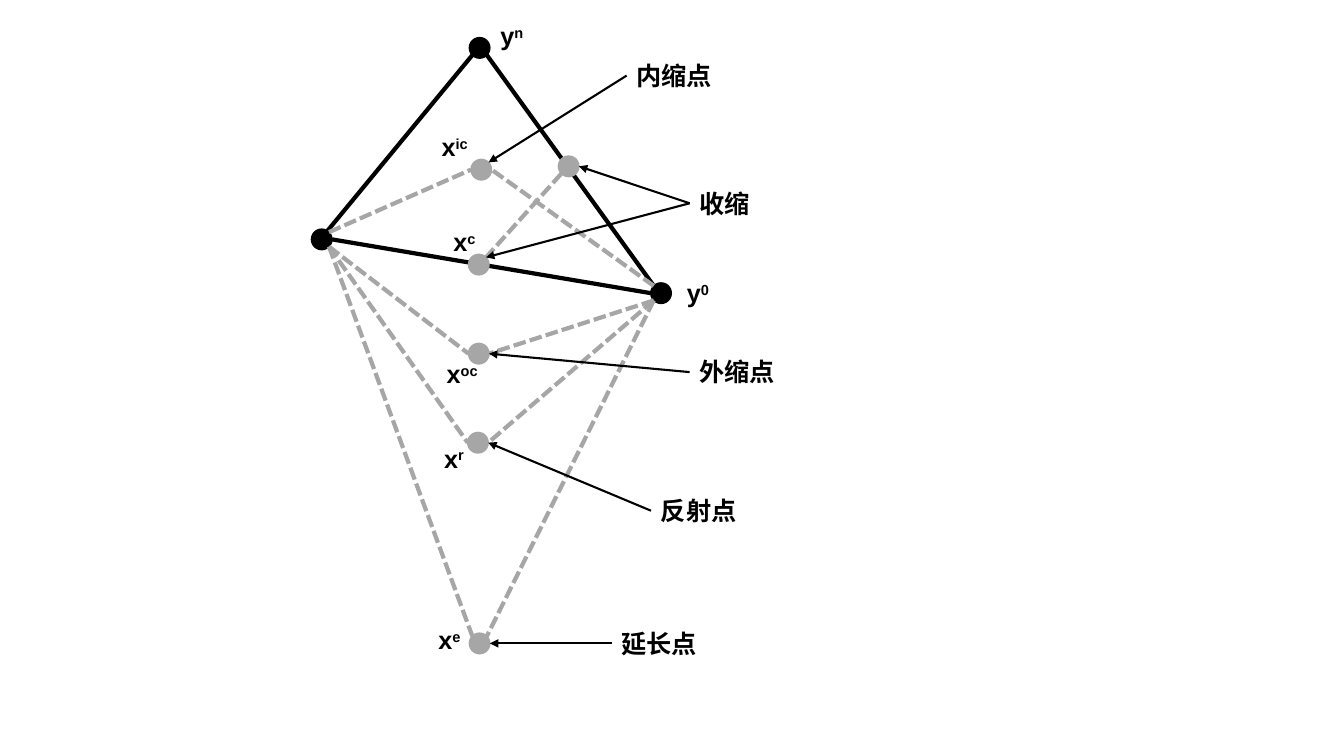
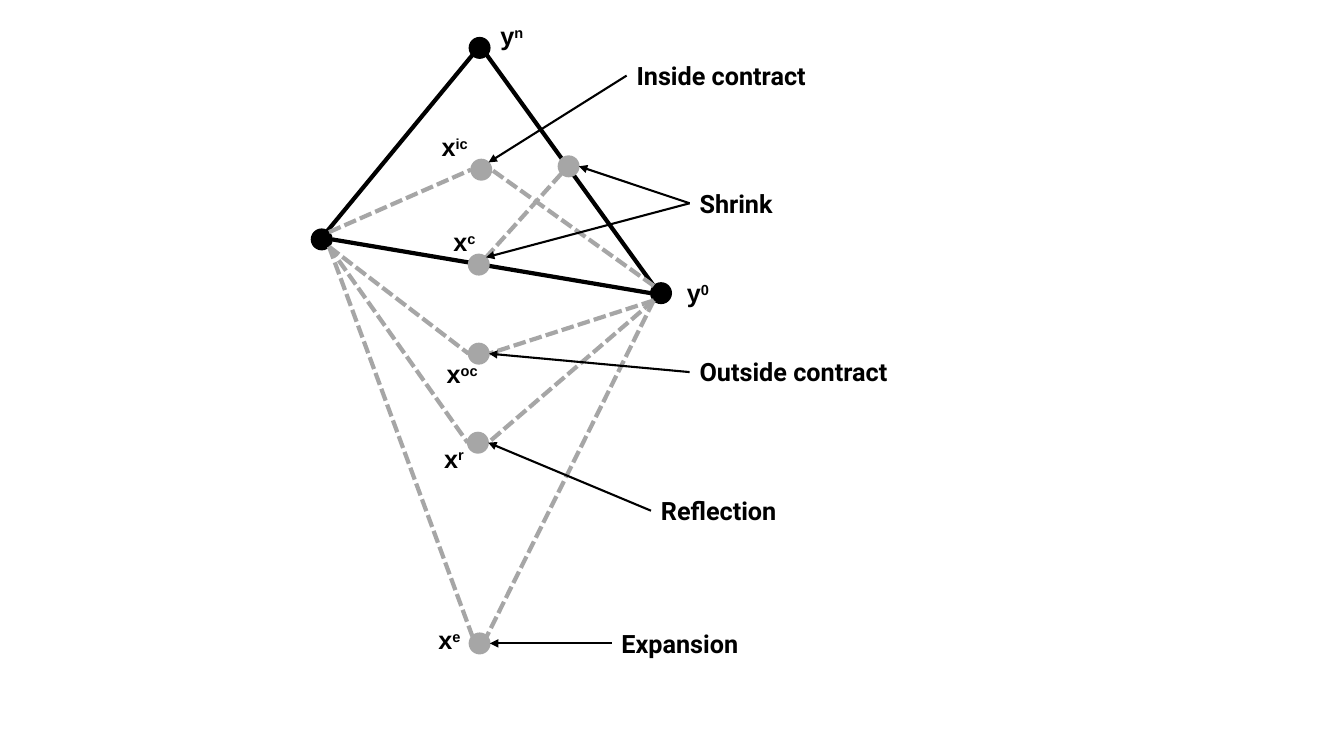
import math

import pptx
import pptx.dml.color
import pptx.enum.dml
import pptx.enum.shapes
import pptx.enum.text
import pptx.oxml
import pptx.oxml.ns
import pptx.util

COLS, ROWS = 160, 90
COLORS = {"ink": "000000", "trial": "A6A6A6"}
LINES = {
    "edge": ("ink", {"width": pptx.util.Pt(3)}),
    "trial": ("trial", {"width": pptx.util.Pt(3),
                        "dash_style": pptx.enum.dml.MSO_LINE.SQUARE_DOT}),
    "arrow": ("ink", {"width": pptx.util.Pt(1.5)}),
}
TEXT = {"size": pptx.util.Pt(18), "bold": True}
DOT = 2.45  # dot diameter, in grid cells
TEXT_HEIGHT = 4.85
ANGLES = {"e": 0, "se": 45, "sw": 135, "w": 180, "nw": 225, "ne": 315}

# Centres of the dots, as (column, row)
VERTICES = {"yn": (57.1, 5.7), "left": (38.3, 28.5), "y0": (78.7, 34.9)}
TRIALS = {
    "xc": (57, 31.5), "mid": (67.7, 19.8), "xic": (57.3, 20.2),
    "xr": (56.9, 52.7), "xe": (57.1, 76.6), "xoc": (57, 42.1),
}
DOTS = {**VERTICES, **TRIALS}

# Dot and compass side at each end
EDGES = [("yn", "sw", "left", "sw"), ("yn", "se", "y0", "nw"),
         ("y0", "w", "left", "e")]
TRIAL_LINES = [
    ("left", "ne", "xic", "w"), ("y0", "nw", "xic", "e"),
    ("left", "se", "xoc", "w"), ("y0", "sw", "xoc", "e"),
    ("y0", "sw", "xr", "e"), ("y0", "sw", "xe", "ne"),
    ("left", "se", "xr", "w"), ("left", "se", "xe", "nw"),
    ("mid", "sw", "xc", "ne"),
]

# Left end, middle row, width, and the dot sides pointed at
CALLOUTS = [
    (74.6, 9, 24.2, [("xic", "ne")]),
    (82.1, 44.3, 27.1, [("xoc", "e")]),
    (77.5, 60.8, 24.2, [("xr", "e")]),
    (72.8, 76.6, 24.2, [("xe", "e")]),
    (82.1, 24.2, 24.2, [("mid", "e"), ("xc", "ne")]),
]
# Letter, superscript, left end, middle row, width
SYMBOLS = [
    ("y", "0", 80.6, 34.9, 5.4), ("y", "n", 58.4, 4.3, 5.4),
    ("x", "ic", 51.4, 17.5, 6.6), ("x", "c", 52.8, 28.8, 6.6),
    ("x", "oc", 52, 44.5, 6.6), ("x", "r", 51.7, 54.6, 6.6),
    ("x", "e", 51, 76.2, 6.6),
]
CHINESE = ["内缩点", "外缩点", "反射点", "延长点", "收缩"]
ENGLISH = ["Inside contract", "Outside contract", "Reflection", "Expansion", "Shrink"]


def rgb(name):
    return pptx.dml.color.RGBColor.from_string(COLORS[name])


def apply(obj, values):
    for name, value in values.items():
        setattr(obj, name, value)


def side(dot, direction):
    """Grid position of a compass point on the rim of a dot."""
    col, row = DOTS[dot]
    angle = math.radians(ANGLES[direction])
    return col + DOT / 2 * math.cos(angle), row + DOT / 2 * math.sin(angle)


class Diagram:
    """Draws on the current slide in cells of a COLS by ROWS grid."""

    def __init__(self, prs):
        self.prs = prs
        self.shapes = None

    def new_slide(self, grouped):
        s = self.prs.slides.add_slide(self.prs.slide_layouts[6])
        self.shapes = s.shapes.add_group_shape().shapes if grouped else s.shapes

    def x(self, cols):
        return round(self.prs.slide_width * cols / COLS)

    def y(self, rows):
        return round(self.prs.slide_height * rows / ROWS)

    def dot(self, col, row, color):
        sp = self.shapes.add_shape(
            pptx.enum.shapes.MSO_SHAPE.OVAL, self.x(col - DOT / 2),
            self.y(row - DOT / 2), self.x(DOT), self.y(DOT))
        sp.shadow.inherit = False
        sp.fill.solid()
        sp.fill.fore_color.rgb = sp.line.color.rgb = rgb(color)
        sp.line.width = pptx.util.Pt(1)

    def line(self, start, end, style):
        color, values = LINES[style]
        cxn = self.shapes.add_connector(
            pptx.enum.shapes.MSO_CONNECTOR.STRAIGHT, self.x(start[0]),
            self.y(start[1]), self.x(end[0]), self.y(end[1]))
        cxn.line.color.rgb = rgb(color)
        apply(cxn.line, values)
        spPr = cxn._element.spPr
        spPr.append(pptx.oxml.parse_xml(
            f"<a:effectLst {pptx.oxml.ns.nsdecls('a')}/>"))
        return cxn

    def arrow(self, box, start, end):
        """Arrow from the left side of a text box."""
        cxn = self.line(start, end, "arrow")
        cxn.begin_connect(box, 1)
        cxn.line._get_or_add_ln().append(pptx.oxml.parse_xml(
            f"<a:tailEnd {pptx.oxml.ns.nsdecls('a')} type='triangle'/>"))

    def text(self, col, middle, width, font, text, superscript=""):
        sp = self.shapes.add_textbox(
            self.x(col), self.y(middle - TEXT_HEIGHT / 2),
            self.x(width), self.y(TEXT_HEIGHT))
        tf = sp.text_frame
        tf.word_wrap = True
        tf.auto_size = pptx.enum.text.MSO_AUTO_SIZE.SHAPE_TO_FIT_TEXT
        p = tf.paragraphs[0]
        for part in filter(None, (text, superscript)):
            r = p.add_run()
            r.text = part
            apply(r.font, {**TEXT, "name": font})
            r.font.color.rgb = rgb("ink")
        if superscript:
            r.font._element.set("baseline", "30000")
        return sp

    def simplex(self, labels):
        for dots, color, links, style in (
                (VERTICES, "ink", EDGES, "edge"),
                (TRIALS, "trial", TRIAL_LINES, "trial")):
            for col, row in dots.values():
                self.dot(col, row, color)
            for a, a_side, b, b_side in links:
                self.line(side(a, a_side), side(b, b_side), style)
        boxes = [self.text(col, middle, width, "Roboto", label)
                 for label, (col, middle, width, _) in zip(labels, CALLOUTS)]
        for box, (col, middle, _, targets) in zip(boxes, CALLOUTS):
            for target in targets:
                self.arrow(box, (col, middle), side(*target))
        for letter, superscript, col, middle, width in SYMBOLS:
            self.text(col, middle, width, "Arial", letter, superscript)


def main():
    prs = pptx.Presentation()
    prs.slide_width = pptx.util.Inches(13.33)
    prs.slide_height = pptx.util.Inches(7.5)
    diagram = Diagram(prs)
    for labels, grouped in ((CHINESE, True), (ENGLISH, False)):
        diagram.new_slide(grouped)
        diagram.simplex(labels)
    prs.save("out.pptx")


if __name__ == "__main__":
    main()
